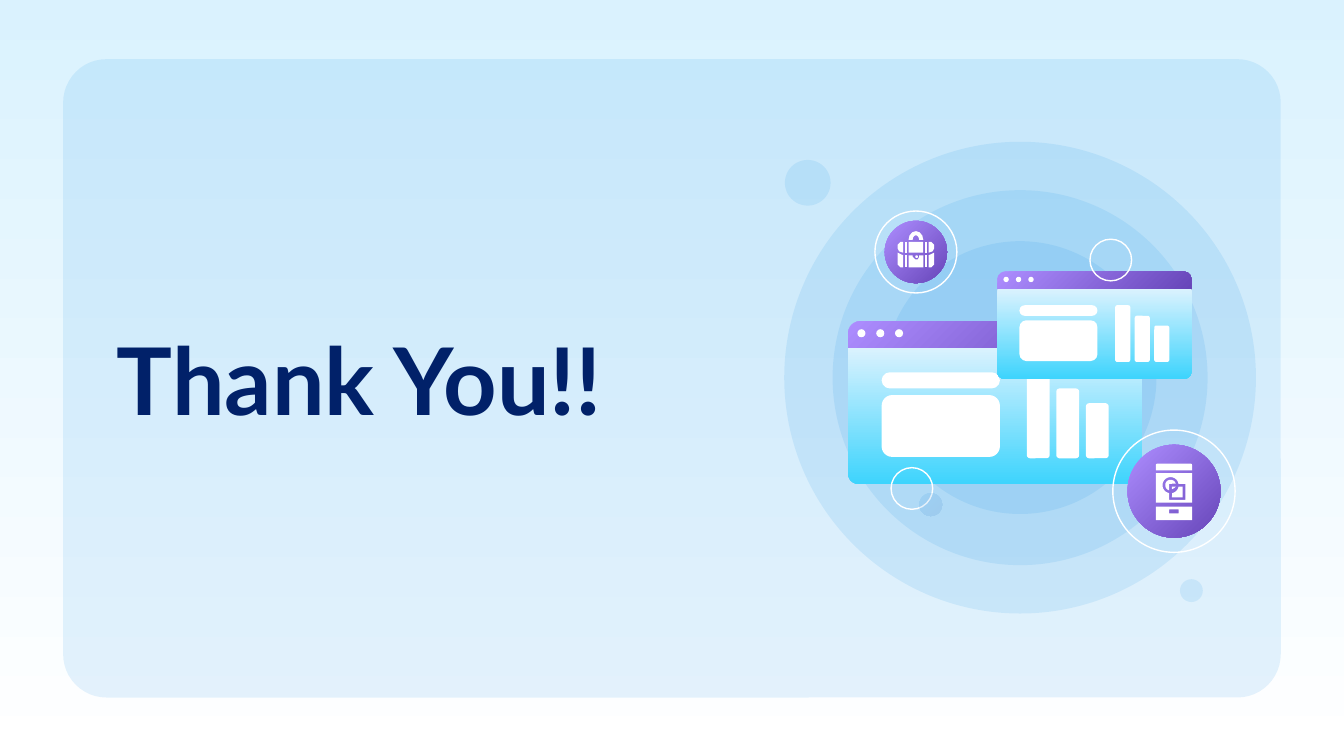
from dataclasses import dataclass
from math import cos, radians, sin

from lxml.etree import SubElement
from pptx import Presentation
from pptx.dml.color import RGBColor
from pptx.enum.shapes import MSO_SHAPE as Shape
from pptx.enum.text import MSO_ANCHOR as Anchor, MSO_AUTO_SIZE as AutoSize, PP_ALIGN as Align
from pptx.oxml.ns import qn
from pptx.util import Inches, Pt


@dataclass(frozen=True)
class Theme:
    font: str = "Lato"
    title_size: int = 50
    title: str = "012169"
    white: str = "FFFFFF"
    tint: tuple = ("0388E5",)
    deep_tint: tuple = ("0388E5", "0048A7")
    sky: tuple = ("FFFFFF", "DAF2FE")
    water: tuple = ("DAF2FE", "3ED4FD")
    violet: tuple = ("AD8DFF", "6746B9")
    tint_alpha: int = 10
    ring_width: float = 0.75


THEME = Theme()
WHITE = (THEME.white,)


def apply(target, values):
    for name, value in values.items():
        setattr(target, name, value)


def fill_with(fill, colors, angle=315):
    if len(colors) == 1:
        fill.solid()
        fill.fore_color.rgb = RGBColor.from_string(colors[0])
        return
    fill.gradient()
    fill.gradient_angle = angle
    for stop, color in zip(fill.gradient_stops, colors):
        stop.color.rgb = RGBColor.from_string(color)


def paint(shape, colors, angle=315, alpha=None):
    shape.shadow.inherit = False
    shape.line.fill.background()
    fill_with(shape.fill, colors, angle)
    if alpha is not None:
        for color in shape.element.spPr.iter(qn("a:srgbClr")):
            SubElement(color, qn("a:alpha"), val=str(alpha * 1000))


def add_block(shapes, kind, at, colors=WHITE, adjust=(), angle=315, alpha=None):
    block = shapes.add_shape(kind, *map(Inches, at))
    for index, value in enumerate(adjust):
        block.adjustments[index] = value
    paint(block, colors, angle, alpha)
    return block


def add_dot(shapes, left, top, size, colors=WHITE, alpha=None):
    return add_block(shapes, Shape.OVAL, (left, top, size, size), colors, alpha=alpha)


def add_ring(shapes, left, top, size):
    ring = add_dot(shapes, left, top, size)
    ring.fill.background()
    ring.line.color.rgb = RGBColor.from_string(THEME.white)
    ring.line.width = Pt(THEME.ring_width)


def add_outline(shapes, *contours):
    first, *holes = [[(Inches(x), Inches(y)) for x, y in contour] for contour in contours]
    builder = shapes.build_freeform(*first[0])
    builder.add_line_segments(first[1:], close=True)
    for hole in holes:
        builder.move_to(*hole[0])
        builder.add_line_segments(hole[1:], close=True)
    paint(builder.convert_to_shape(), WHITE)


def arc(radius, start, end, steps=24):
    angles = [radians(start + (end - start) * step / steps) for step in range(steps + 1)]
    return [(8.71 + radius * cos(angle), 3.61 + radius * sin(angle)) for angle in angles]


def box_points(left, top, right, bottom):
    return [(left, top), (right, top), (right, bottom), (left, bottom)]


def add_title(page):
    title = page.shapes.title
    apply(title, {"left": Inches(0.77), "top": Inches(2.3),
                  "width": Inches(5.26), "height": Inches(1.03)})
    frame = title.text_frame
    apply(frame, {"auto_size": AutoSize.NONE, "vertical_anchor": Anchor.MIDDLE, "word_wrap": True})
    apply(frame, {f"margin_{side}": Inches(0.1) for side in ("left", "top", "right", "bottom")})
    para = frame.paragraphs[0]
    para.alignment = Align.LEFT
    span = para.add_run()
    span.text = "Thank You!!"
    apply(span.font, {"name": THEME.font, "size": Pt(THEME.title_size), "bold": True})
    span.font.color.rgb = RGBColor.from_string(THEME.title)


def add_panel(page):
    panel = add_block(page.shapes, Shape.ROUNDED_RECTANGLE, (0.47, 0.44, 9.06, 4.75),
                      THEME.tint, (0.068,), alpha=THEME.tint_alpha)
    page.shapes.title.element.addprevious(panel.element)


def add_halos(page):
    shapes = page.shapes.add_group_shape().shapes
    for size in (3.51, 2.79, 2.03):
        add_dot(shapes, 7.59 - size / 2, 2.81 - size / 2, size, THEME.tint, THEME.tint_alpha)


def add_badge(page, left, top, size):
    shapes = page.shapes.add_group_shape().shapes
    inset = size * 0.12
    add_ring(shapes, left, top, size)
    add_dot(shapes, left + inset, top + inset, size - 2 * inset, THEME.violet)
    return shapes


def add_briefcase(shapes):
    both_edges = 6.68 + 6.95
    half_turn = 108
    add_block(shapes, Shape.BLOCK_ARC, (6.76, 1.72, 0.11, 0.13), adjust=(half_turn, 0, 0.28))
    add_block(shapes, Shape.RECTANGLE, (6.76, 1.8, 0.11, 0.08))
    upper_end = [(6.7, 1.8), (6.72, 1.8), (6.72, 1.88), (6.69, 1.87), (6.68, 1.85), (6.68, 1.82)]
    lower_end = [(6.68, 1.88), (6.72, 1.9), (6.72, 1.99), (6.7, 1.99), (6.68, 1.97)]
    straps = [box_points(6.73, 1.8, 6.75, 1.88), box_points(6.73, 1.9, 6.75, 1.99)]
    for part in (upper_end, lower_end, *straps):
        add_outline(shapes, part)
        add_outline(shapes, [(both_edges - x, y) for x, y in part])
    add_outline(shapes, [(6.76, 1.9), (6.79, 1.9), (6.79, 1.91), (6.81, 1.93), (6.83, 1.93),
                         (6.84, 1.91), (6.84, 1.9), (6.87, 1.9), (6.87, 1.99), (6.76, 1.99)])
    add_dot(shapes, 6.81, 1.9, 0.02)


def add_phone(shapes):
    add_block(shapes, Shape.ROUND_2_SAME_RECTANGLE, (8.6, 3.45, 0.27, 0.05), adjust=(0.2, 0))
    icon_edge = arc(0.06, -10, -260) + [(8.7, 3.72), (8.82, 3.72), (8.82, 3.6)]
    add_outline(shapes, box_points(8.6, 3.52, 8.87, 3.74), icon_edge)
    add_outline(shapes, arc(0.04, -15, -255) + [(8.7, 3.6)])
    add_outline(shapes, [(8.72, 3.62), (8.72, 3.64), (8.74, 3.63), (8.75, 3.62)])
    add_outline(shapes, [(8.8, 3.62), (8.8, 3.7), (8.72, 3.7)] + arc(0.06, 80, 10))
    add_outline(shapes, box_points(8.6, 3.77, 8.87, 3.87), box_points(8.7, 3.79, 8.77, 3.82))


def add_window(page, left, top, scale):
    shapes = page.shapes.add_group_shape().shapes

    def place(kind, x, y, width, height, **style):
        at = (left + x * scale, top + y * scale, width * scale, height * scale)
        add_block(shapes, kind, at, **style)

    place(Shape.ROUND_2_SAME_RECTANGLE, 0, 0, 2.19, 0.2, colors=THEME.violet, adjust=(0.43, 0))
    place(Shape.ROUND_2_SAME_RECTANGLE, 0, 0.2, 2.19, 1.01,
          colors=THEME.water, adjust=(0, 0.08), angle=270)
    for index in range(3):
        place(Shape.OVAL, 0.07 + 0.14 * index, 0.06, 0.06, 0.06)
    for index, height in enumerate((0.64, 0.52, 0.41)):
        place(Shape.ROUNDED_RECTANGLE, 1.33 + 0.22 * index, 1.02 - height, 0.17, height,
              adjust=(0.14,))
    place(Shape.ROUNDED_RECTANGLE, 0.25, 0.38, 0.88, 0.12, adjust=(0.5,))
    place(Shape.ROUNDED_RECTANGLE, 0.25, 0.55, 0.88, 0.46, adjust=(0.17,))


def main():
    deck = Presentation()
    apply(deck, {"slide_width": Inches(10), "slide_height": Inches(10) * 9 // 16})
    page = deck.slides.add_slide(deck.slide_layouts[5])
    fill_with(page.background.fill, THEME.sky, angle=90)
    add_title(page)
    add_panel(page)
    add_halos(page)
    add_briefcase(add_badge(page, 6.51, 1.57, 0.61))
    add_window(page, 6.31, 2.39, 1)
    add_window(page, 7.42, 2.02, 0.66)
    add_phone(add_badge(page, 8.28, 3.2, 0.91))
    add_ring(page.shapes, 6.63, 3.48, 0.31)
    add_dot(page.shapes, 6.84, 3.67, 0.17, THEME.deep_tint, THEME.tint_alpha)
    add_ring(page.shapes, 8.11, 1.78, 0.31)
    for left, top, size in ((5.84, 1.19, 0.34), (8.78, 4.31, 0.17)):
        add_dot(page.shapes, left, top, size, THEME.tint, THEME.tint_alpha)
    deck.save("out.pptx")


if __name__ == "__main__":
    main()
